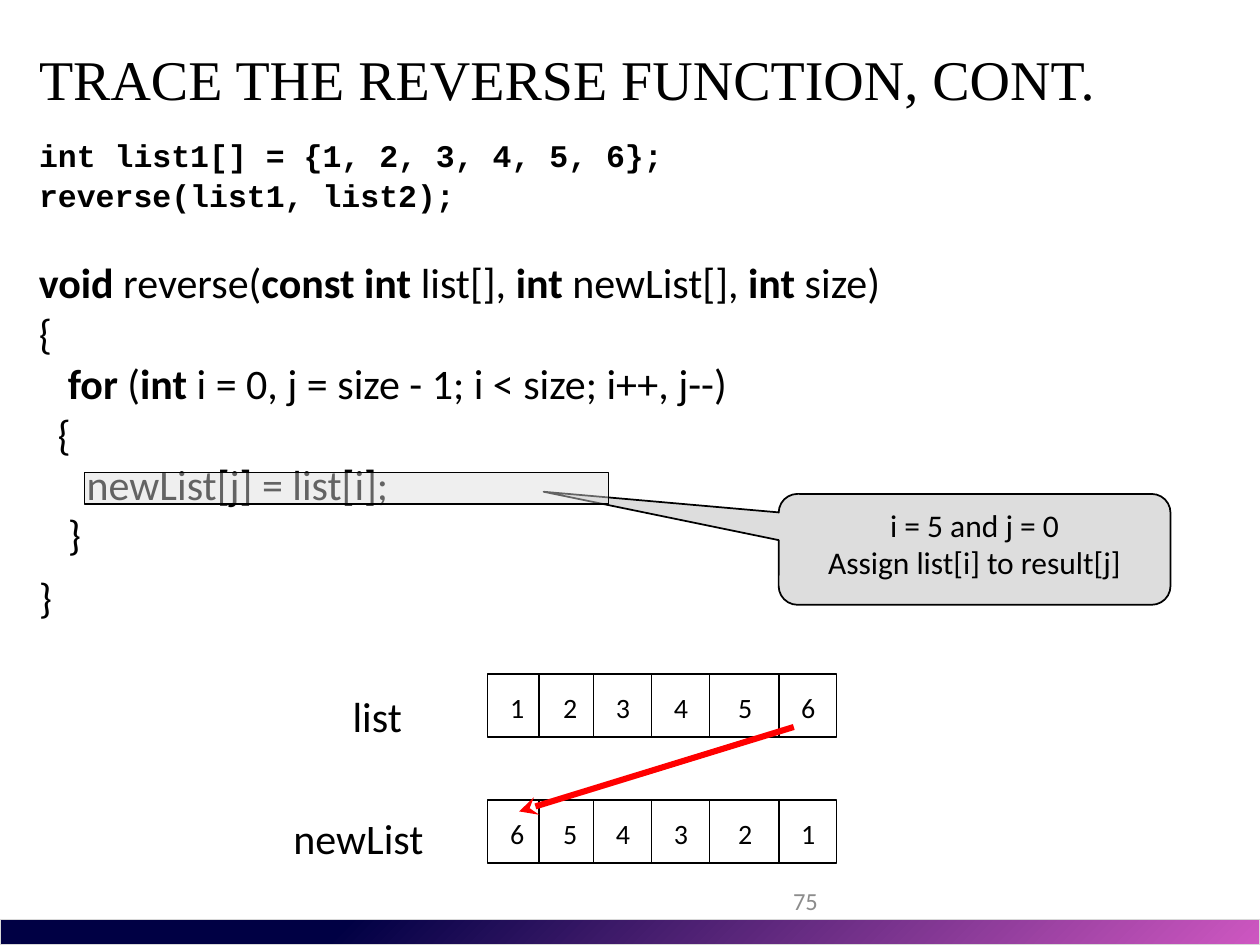
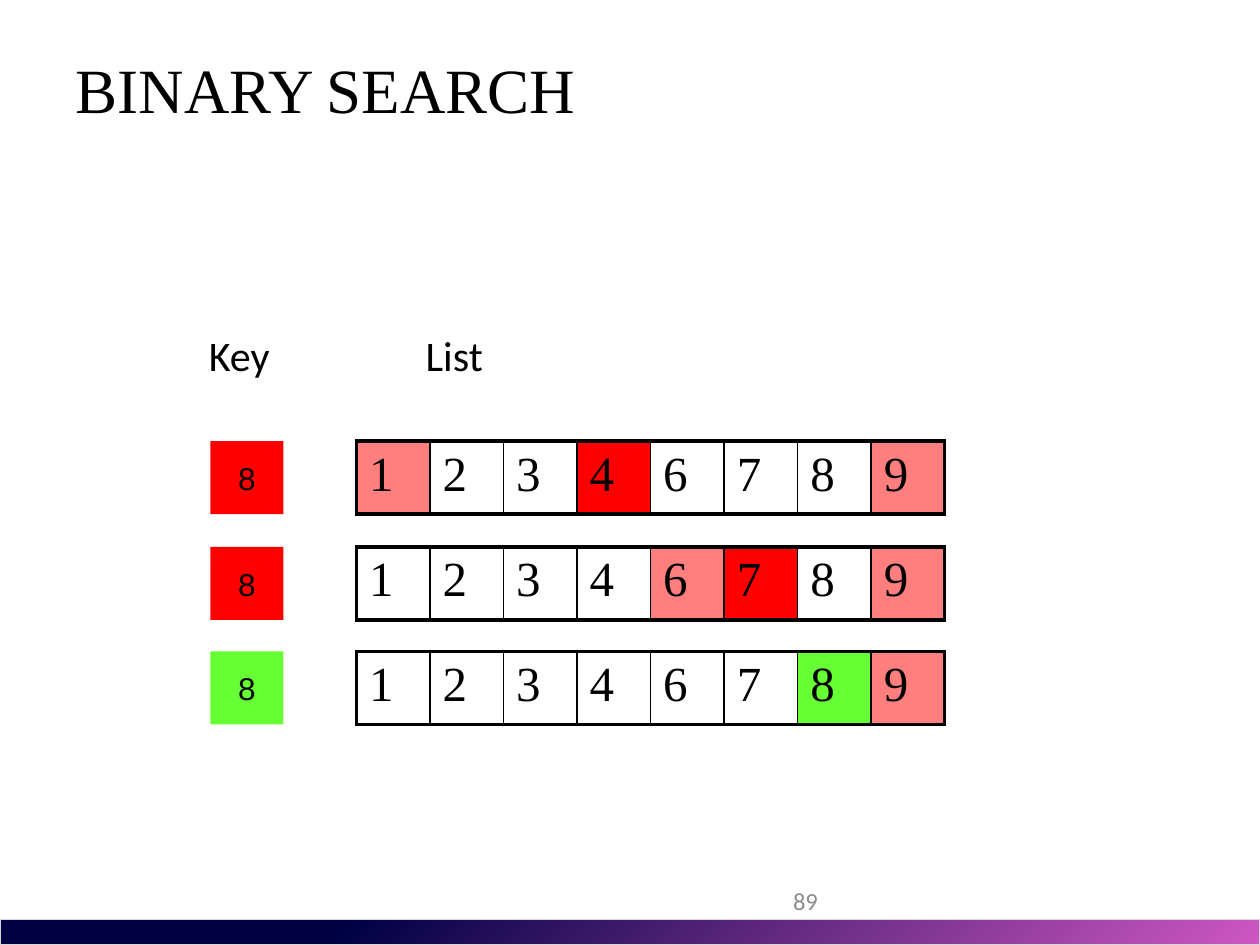
import lxml.etree
import pptx
import pptx.dml.color
import pptx.enum.dml
import pptx.enum.shapes
import pptx.enum.text
import pptx.oxml
import pptx.oxml.ns
import pptx.util

PX = 9144  # EMU in one px, at 100 px to the inch
BLACK, RED, GREEN, GREY = "000000", "FF0000", "66FF33", "DDDDDD"
SANS, SERIF, MONO, KEY_FONT = "Calibri", "Times New Roman", "Courier New", "Arial"
ALIGN = pptx.enum.text.PP_ALIGN
ANCHOR = pptx.enum.text.MSO_ANCHOR
SHAPE = pptx.enum.shapes.MSO_SHAPE

DIVIDERS = (41, 84, 130, 176, 231)
DIGIT_OFFSETS = (8, 50, 92, 138, 189, 239)

# Indent in px, then the spans of the line; every second span is bold.
CODE_LINES = [
    (0, ["", "void", " reverse(", "const int", " list[], ", "int",
         " newList[], ", "int", " size)"]),
    (0, ["{"]),
    (23, ["", "for", " (", "int", " i = 0, j = size - 1; i < size; i++, j--)"]),
    (15, ["{"]),
    (38, ["newList[j] = list[i];"]),
    (23, ["}"]),
    (0, ["}"]),
]

SEARCH_VALUES = "12346789"
# Key colour, then the fill and opacity of each marked cell.
SEARCH_STEPS = [
    (RED, {"1": (RED, 50), "4": (RED, 100), "9": (RED, 50)}),
    (RED, {"6": (RED, 50), "7": (RED, 100), "9": (RED, 50)}),
    (GREEN, {"8": (GREEN, 100), "9": (RED, 50)}),
]


def emu(*lengths):
    return [pptx.util.Emu(length * PX) for length in lengths]


def rgb(value):
    return pptx.dml.color.RGBColor.from_string(value)


def sub(parent, tag, **attributes):
    return lxml.etree.SubElement(parent, pptx.oxml.ns.qn(tag), attributes)


def style(para, size, font=SANS, color=BLACK, bold=False, align=ALIGN.LEFT):
    para.alignment = align
    para.font.size = pptx.util.Pt(size)
    para.font.name = font
    para.font.bold = bold
    para.font.color.rgb = rgb(color)


def write(frame, lines, size, **look):
    """Fill a text frame with one styled paragraph per line."""
    frame.text = "\n".join(lines)
    for para in frame.paragraphs:
        style(para, size, **look)
    return frame


def set_fill(fill, color, opacity=100):
    if color is None:
        fill.background()
        return
    fill.solid()
    fill.fore_color.rgb = rgb(color)
    if opacity < 100:
        for node in fill.fore_color._xFill.iter(pptx.oxml.ns.qn("a:srgbClr")):
            sub(node, "a:alpha", val=str(opacity * 1000))


def add_box(page, box, color=None, opacity=100, line=BLACK, kind=SHAPE.RECTANGLE):
    shape = page.shapes.add_shape(kind, *emu(*box))
    shape.shadow.inherit = False
    set_fill(shape.fill, color, opacity)
    if line is None:
        shape.line.fill.background()
    else:
        shape.line.color.rgb = rgb(line)
        shape.line.width = pptx.util.Pt(1)
    return shape


def add_line(page, start, end, color=BLACK, width=1, arrow=False):
    line = page.shapes.add_connector(
        pptx.enum.shapes.MSO_CONNECTOR.STRAIGHT, *emu(*start, *end))
    line.line.color.rgb = rgb(color)
    line.line.width = pptx.util.Pt(width)
    properties = line.element.spPr
    if arrow:
        sub(properties.find(pptx.oxml.ns.qn("a:ln")), "a:tailEnd", type="stealth")
    sub(properties, "a:effectLst")


def add_text(page, box, text, size, wrap=True, **look):
    frame = page.shapes.add_textbox(*emu(*box)).text_frame
    frame.word_wrap = wrap
    return write(frame, [text], size, **look)


def place(holder, box):
    """Move a placeholder and return its text frame, free of autofit."""
    holder.left, holder.top, holder.width, holder.height = emu(*box)
    frame = holder.text_frame
    frame.auto_size = pptx.enum.text.MSO_AUTO_SIZE.NONE
    return frame


def add_page(deck, layout, title, box, size, number):
    page = deck.slides.add_slide(deck.slide_layouts[layout])
    frame = place(page.shapes.title, box)
    frame.vertical_anchor = ANCHOR.MIDDLE
    write(frame, [title], size, font=SERIF)
    frame = add_text(page, (342, 695, 317, 40), number, 14, wrap=False,
                     color="8C8C8C", align=ALIGN.RIGHT)
    frame.vertical_anchor = ANCHOR.MIDDLE
    return page


def move_band_to_master(deck, page):
    """Draw the gradient footer band once, for all slides."""
    band = add_box(page, (0, 730, 1000, 20), line="D8D8D8")
    band.line.width = pptx.util.Pt(0.75)
    band.fill.gradient()
    band.fill.gradient_angle = 315
    stops = zip(band.fill.gradient_stops, ((0.27, "000044"), (1, "CE57C1")))
    for stop, (position, color) in stops:
        stop.position = position
        stop.color.rgb = rgb(color)
    deck.slide_master.element.cSld.spTree.append(band.element)


def add_call(page, box):
    frame = place(page.placeholders[1], box)
    lines = ["int list1[] = {1, 2, 3, 4, 5, 6};", "reverse(list1, list2);"]
    write(frame, lines, 18, font=MONO, bold=True)
    for para in frame.paragraphs:
        para.line_spacing = 0.9
        para.space_before = pptx.util.Pt(3.6)
        properties = para._p.get_or_add_pPr()
        properties.set("marL", "0")
        properties.set("indent", "0")
        bullet = lxml.etree.Element(pptx.oxml.ns.qn("a:buNone"))
        properties.insert_element_before(bullet, "a:tabLst", "a:defRPr", "a:extLst")


def add_code(page, box):
    frame = page.shapes.add_textbox(*emu(*box)).text_frame
    frame.word_wrap = True
    for index, (indent, spans) in enumerate(CODE_LINES):
        para = frame.add_paragraph() if index else frame.paragraphs[0]
        style(para, 24)
        para._p.get_or_add_pPr().set("marL", str(indent * PX))
        for position, text in enumerate(spans):
            if text:
                span = para.add_run()
                span.text = text
                span.font.bold = position % 2 == 1
    frame.paragraphs[-1].space_before = pptx.util.Pt(7)


def add_array(page, box, values):
    left, top, _, height = box
    add_box(page, box)
    for offset in DIVIDERS:
        add_line(page, (left + offset, top), (left + offset, top + height))
    for offset, value in zip(DIGIT_OFFSETS, values):
        add_text(page, (left + offset, top + 8, 25, 37), value, 16)


def add_callout(page, box):
    callout = add_box(page, box, GREY, kind=SHAPE.ROUNDED_RECTANGULAR_CALLOUT)
    for index, value in enumerate((-1.1, -0.52, 0.17)):
        callout.adjustments[index] = value
    frame = write(callout.text_frame, ["i = 5 and j = 0", "Assign list[i] to result[j]"],
                  18, align=ALIGN.CENTER)
    frame.vertical_anchor = ANCHOR.TOP


def add_key(page, box, color):
    frame = add_box(page, box, color, line=None).text_frame
    frame.word_wrap = False
    frame.vertical_anchor = ANCHOR.MIDDLE
    write(frame, ["8"], 18, font=KEY_FONT, align=ALIGN.CENTER)


def set_borders(cell, **widths):
    """Give the cell black borders; L, R, T and B come in this order."""
    properties = cell._tc.get_or_add_tcPr()
    for index, (side, width) in enumerate(widths.items()):
        border = lxml.etree.Element(pptx.oxml.ns.qn("a:ln" + side),
                                    w=str(pptx.util.Pt(width)))
        sub(sub(border, "a:solidFill"), "a:srgbClr", val=BLACK)
        properties.insert(index, border)


def add_search_row(page, box, marks):
    table = page.shapes.add_table(1, len(SEARCH_VALUES), *emu(*box)).table
    table.first_row = table.horz_banding = False
    last = len(SEARCH_VALUES) - 1
    for index, value in enumerate(SEARCH_VALUES):
        cell = table.cell(0, index)
        write(cell.text_frame, [value], 28, font=SERIF)
        color, opacity = marks.get(value, (None, 100))
        set_fill(cell.fill, color, opacity)
        set_borders(cell, L=2.25 if index == 0 else 1,
                    R=2.25 if index == last else 1, T=2.25, B=2.25)


def build_trace(deck):
    page = add_page(deck, 1, "TRACE THE REVERSE FUNCTION, CONT.",
                    (21, 33, 895, 58), 32, "75")
    add_call(page, (21, 106, 733, 75))
    add_text(page, (270, 543, 83, 50), "list", 24)
    add_text(page, (223, 640, 155, 50), "newList", 24)
    add_array(page, (387, 535, 277, 50), "123456")
    add_array(page, (387, 635, 277, 50), "654321")
    add_line(page, (630, 577), (412, 644), RED, 3.5, arrow=True)
    add_code(page, (21, 199, 722, 307))
    add_callout(page, (618, 392, 311, 88))
    add_box(page, (67, 375, 416, 25), GREY, opacity=45)
    return page


def build_search(deck):
    page = add_page(deck, 5, "BINARY SEARCH", (50, 31, 911, 79), 36, "89")
    for index, (color, marks) in enumerate(SEARCH_STEPS):
        top = round(350 + index * 83.5)
        add_search_row(page, (283, top, 467, 58), marks)
        add_key(page, (167, top, 58, 58), color)
    add_text(page, (156, 257, 122, 50), "Key", 24)
    add_text(page, (328, 257, 244, 50), "List", 24)


def main():
    deck = pptx.Presentation()
    deck.slide_width, deck.slide_height = emu(1000, 750)
    trace = build_trace(deck)
    move_band_to_master(deck, trace)
    build_search(deck)
    deck.save("out.pptx")


if __name__ == "__main__":
    main()
